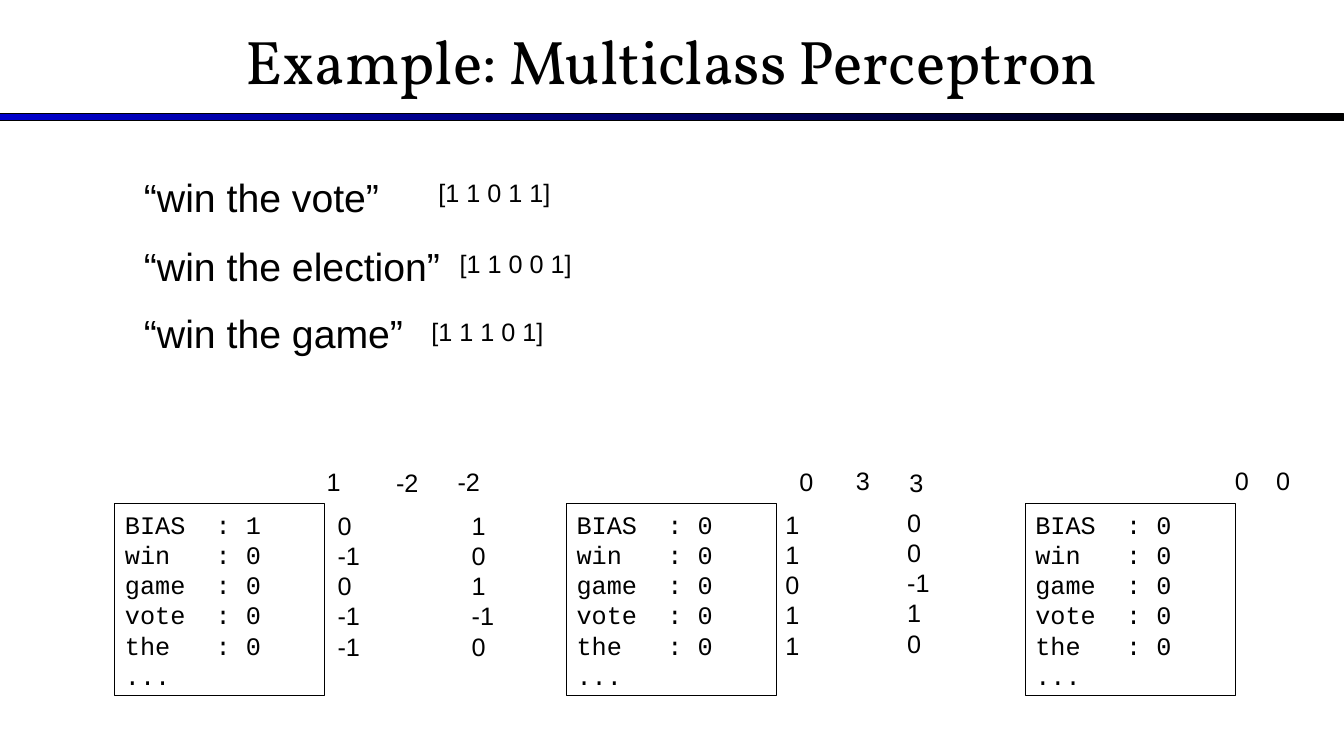
"""Build the multiclass perceptron example slide."""
from dataclasses import dataclass

from pptx import Presentation
from pptx import util as u
from pptx.dml.color import RGBColor
from pptx.enum import shapes, text
from pptx.shapes.autoshape import Shape
from pptx.slide import Slide
from pptx.text.text import TextFrame


@dataclass(frozen=True)
class Theme:
    ink: RGBColor = RGBColor(0, 0, 0)
    blue: RGBColor = RGBColor(0, 0, 0xCC)
    title_font: str = "Vollkorn"
    body_font: str = "Arial"
    code_font: str = "Courier New"
    title_size: int = 44
    phrase_size: int = 28
    small_size: int = 18
    line_width: float = 0.75


@dataclass(frozen=True)
class Example:
    phrase: str
    features: str
    top: float
    features_left: float
    features_top: float


@dataclass(frozen=True)
class Score:
    value: int
    left: float
    top: float


@dataclass(frozen=True)
class Update:
    weights: tuple[int, ...]
    left: float
    top: float


@dataclass(frozen=True)
class ClassWeights:
    left: float
    bias: int
    scores: tuple[Score, ...]
    updates: tuple[Update, ...] = ()


THEME = Theme()
SLIDE_W, SLIDE_H = 13.33, 7.5
LABEL_W, LABEL_H = 1.92, 0.4
PHRASE_W, PHRASE_H = 3.17, 0.57
UPDATE_W, UPDATE_H = 0.56, 1.6
BOX_TOP, BOX_W, BOX_H = 5, 2.08, 1.9
WORDS = ("win", "game", "vote", "the")

EXAMPLES = (
    Example("“win the vote”", "[1 1 0 1 1]", 1.67, 4.25, 1.71),
    Example("“win the election”", "[1 1 0 0 1]", 2.35, 4.46, 2.41),
    Example("“win the game”", "[1 1 1 0 1]", 3.02, 4.18, 3.09),
)
CLASSES = (
    ClassWeights(
        1.14, 1,
        (Score(1, 3.14, 4.58), Score(-2, 3.83, 4.59), Score(-2, 4.44, 4.58)),
        (Update((0, -1, 0, -1, -1), 3.25, 5.01), Update((1, 0, 1, -1, 0), 4.58, 5.01)),
    ),
    ClassWeights(
        5.62, 0,
        (Score(0, 7.83, 4.58), Score(3, 8.39, 4.57), Score(3, 8.92, 4.59)),
        (Update((1, 1, 0, 1, 1), 7.69, 5), Update((0, 0, -1, 1, 0), 8.9, 4.98)),
    ),
    ClassWeights(10.17, 0, (Score(0, 12.15, 4.57), Score(0, 12.56, 4.57))),
)


def write(tf: TextFrame, content: str, font: str, size: int,
          align: text.PP_ALIGN = text.PP_ALIGN.LEFT) -> None:
    """Fill a text frame, one paragraph per line, in one font."""
    tf.text = content
    tf.word_wrap = True
    for p in tf.paragraphs:
        p.alignment = align
        for r in p.runs:
            r.font.name = font
            r.font.size = u.Pt(size)
            r.font.color.rgb = THEME.ink


def add_label(s: Slide, content: str, left: float, top: float, width: float,
              height: float, size: int = THEME.small_size) -> None:
    """Add a left-aligned text box kept within the slide's right edge."""
    width = min(width, SLIDE_W - left)
    sp = s.shapes.add_textbox(u.Inches(left), u.Inches(top), u.Inches(width), u.Inches(height))
    write(sp.text_frame, content, THEME.body_font, size)
    sp.text_frame.auto_size = text.MSO_AUTO_SIZE.SHAPE_TO_FIT_TEXT


def add_rect(s: Slide, left: float, top: float, width: float, height: float) -> Shape:
    """Add a thinly outlined rectangle without shadow."""
    sp = s.shapes.add_shape(shapes.MSO_SHAPE.RECTANGLE, u.Inches(left), u.Inches(top),
                            u.Inches(width), u.Inches(height))
    sp.shadow.inherit = False
    sp.line.color.rgb = THEME.ink
    sp.line.width = u.Pt(THEME.line_width)
    return sp


def add_header(s: Slide) -> None:
    """Format the title and draw the gradient rule below it."""
    bar = add_rect(s, 0, 1.13, SLIDE_W, 0.07)
    bar.fill.gradient()
    bar.fill.gradient_angle = 0
    for stop, color in zip(bar.fill.gradient_stops, (THEME.blue, THEME.ink)):
        stop.color.rgb = color

    title = s.shapes.title
    title.left, title.top = u.Inches(0), u.Inches(-0.03)
    title.width, title.height = u.Inches(SLIDE_W), u.Inches(1.25)
    tf = title.text_frame
    write(tf, "Example: Multiclass Perceptron", THEME.title_font, THEME.title_size,
          text.PP_ALIGN.CENTER)
    tf.vertical_anchor = text.MSO_ANCHOR.MIDDLE
    tf.auto_size = text.MSO_AUTO_SIZE.NONE


def add_example(s: Slide, example: Example) -> None:
    """Add a phrase and its feature vector."""
    add_label(s, example.phrase, 1.33, example.top, PHRASE_W, PHRASE_H, THEME.phrase_size)
    add_label(s, example.features, example.features_left, example.features_top,
              LABEL_W, LABEL_H)


def add_class(s: Slide, item: ClassWeights) -> None:
    """Add a weight box with its scores and updated weights."""
    sp = add_rect(s, item.left, BOX_TOP, BOX_W, BOX_H)
    sp.fill.background()
    rows = [f"BIAS  : {item.bias}", *(f"{word:<6}: 0" for word in WORDS), "..."]
    write(sp.text_frame, "\n".join(rows), THEME.code_font, THEME.small_size)
    sp.text_frame.vertical_anchor = text.MSO_ANCHOR.TOP
    sp.text_frame.auto_size = text.MSO_AUTO_SIZE.SHAPE_TO_FIT_TEXT
    for score in item.scores:
        add_label(s, str(score.value), score.left, score.top, LABEL_W, LABEL_H)
    for update in item.updates:
        add_label(s, "\n".join(map(str, update.weights)), update.left, update.top,
                  UPDATE_W, UPDATE_H)


def main() -> None:
    """Create and save the presentation."""
    prs = Presentation()
    prs.slide_width, prs.slide_height = u.Inches(SLIDE_W), u.Inches(SLIDE_H)
    s = prs.slides.add_slide(prs.slide_layouts.get_by_name("Title Only"))
    add_header(s)
    for example in EXAMPLES:
        add_example(s, example)
    for item in CLASSES:
        add_class(s, item)
    prs.save("out.pptx")


if __name__ == "__main__":
    main()
